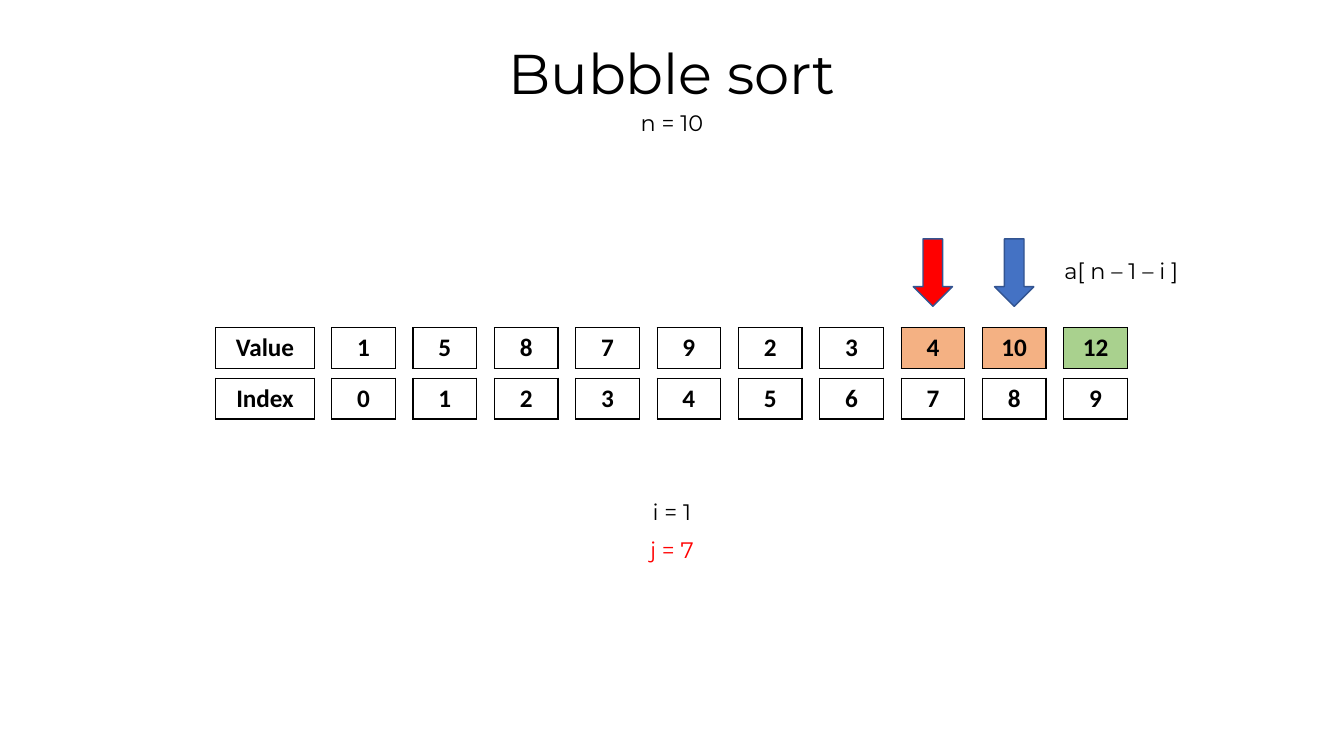
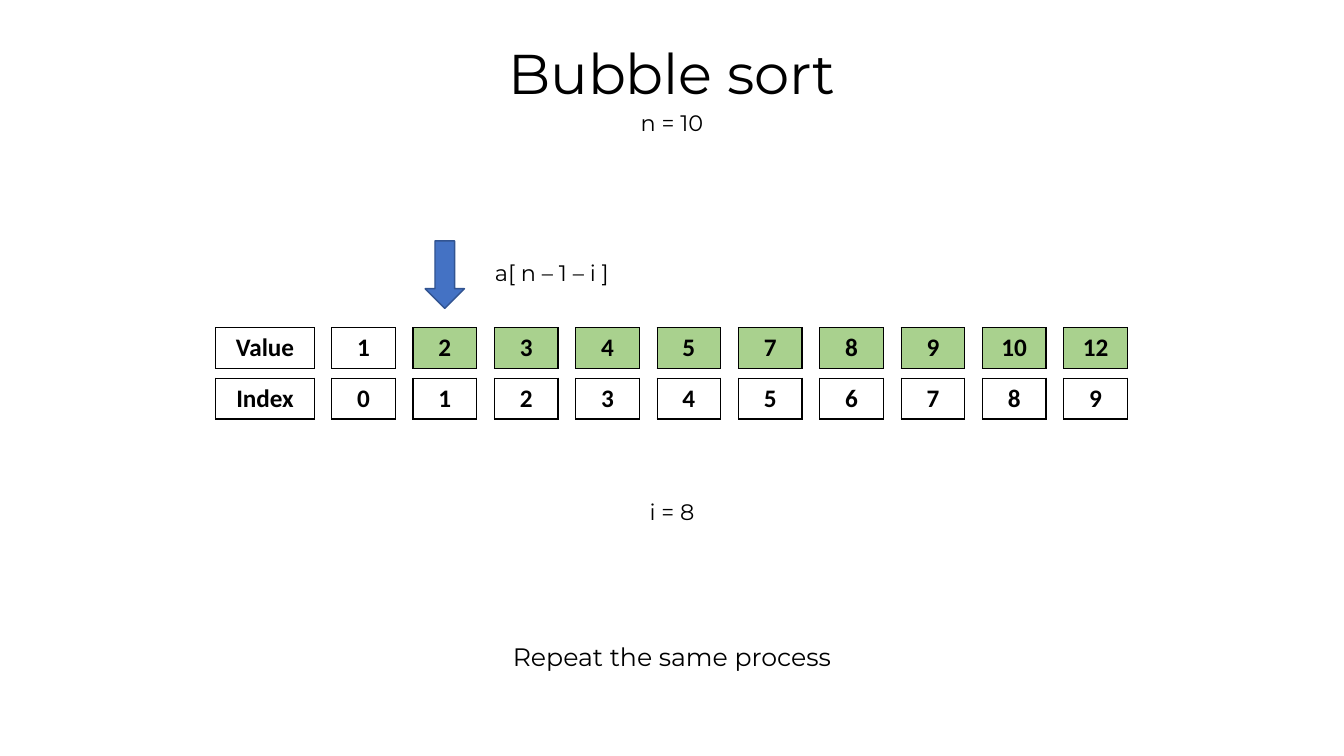
from lxml.etree import SubElement
from pptx import Presentation
from pptx.dml.color import RGBColor
from pptx.enum.shapes import MSO_SHAPE
from pptx.enum.text import MSO_ANCHOR, MSO_AUTO_SIZE, PP_ALIGN
from pptx.oxml.ns import qn
from pptx.util import Cm, Pt

# Colours and fonts
BLACK = RGBColor(0x00, 0x00, 0x00)
RED = RGBColor(0xFF, 0x00, 0x00)
BLUE = RGBColor(0x44, 0x72, 0xC4)
NAVY = RGBColor(0x32, 0x54, 0x91)
ORANGE = RGBColor(0xF4, 0xB1, 0x83)
GREEN = RGBColor(0xA9, 0xD1, 0x8E)
HEAD, BODY = "Montserrat", "Calibri"

# Layout in centimetres
WIDE, HIGH = 33.87, 19.05
MID = WIDE / 2
LEFT, STEP = 8.36, 2.05
CELL_W, CELL_H = 1.6, 1.03
HEAD_X, HEAD_W = 5.44, 2.48
VALUE_Y, INDEX_Y = 8.26, 9.53
ARROW_W, ARROW_H = 0.99, 1.7


def write(para, text, font, size, color=BLACK, bold=False):
    para.alignment = PP_ALIGN.CENTER
    run = para.add_run()
    run.text = text
    run.font.name = font
    run.font.size = Pt(size)
    run.font.bold = bold
    run.font.color.rgb = color


def label(slide, text, mid, top, width, height=0.94, size=16, color=BLACK):
    """Add one centred line of text around the given middle."""
    box = slide.shapes.add_textbox(Cm(mid - width / 2), Cm(top), Cm(width), Cm(height))
    frame = box.text_frame
    frame.word_wrap = False
    frame.auto_size = MSO_AUTO_SIZE.SHAPE_TO_FIT_TEXT
    write(frame.paragraphs[0], text, HEAD, size, color)


def border(cell):
    props = cell._tc.get_or_add_tcPr()
    for side in ("a:lnL", "a:lnR", "a:lnT", "a:lnB"):
        line = SubElement(props, qn(side), w=str(Pt(1)))
        fill = SubElement(line, qn("a:solidFill"))
        SubElement(fill, qn("a:srgbClr"), val=str(BLACK))


def box(slide, text, left, top, width, fill=None):
    """Add a table of a single cell."""
    frame = slide.shapes.add_table(1, 1, Cm(left), Cm(top), Cm(width), Cm(CELL_H))
    table = frame.table
    table.first_row = table.horz_banding = False
    cell = table.cell(0, 0)
    cell.vertical_anchor = MSO_ANCHOR.MIDDLE
    border(cell)
    if fill is None:
        cell.fill.background()
    else:
        cell.fill.solid()
        cell.fill.fore_color.rgb = fill
    write(cell.text_frame.paragraphs[0], text, BODY, 18, bold=True)


def row(slide, name, items, top, fills):
    """Add a heading cell and a row of cells; fills maps slot to colour."""
    box(slide, name, HEAD_X, top, HEAD_W)
    for slot, item in enumerate(items):
        box(slide, str(item), LEFT + slot * STEP, top, CELL_W, fills.get(slot))


def arrow(slide, slot, top, color):
    """Point down at a slot and return the middle of that slot."""
    mid = LEFT + slot * STEP + CELL_W / 2
    shape = slide.shapes.add_shape(
        MSO_SHAPE.DOWN_ARROW, Cm(mid - ARROW_W / 2), Cm(top), Cm(ARROW_W), Cm(ARROW_H))
    shape.shadow.inherit = False
    shape.fill.solid()
    shape.fill.fore_color.rgb = color
    shape.line.color.rgb = NAVY
    shape.line.width = Pt(1)
    return mid


def target(slide, slot, top):
    """Mark the last unsorted slot with an arrow and its formula."""
    mid = arrow(slide, slot, top, BLUE)
    label(slide, "a[ n – 1 – i ]", mid + 2.7, top + 0.33, 4.01)


def state(deck, values, i, fills, top):
    """Add a slide with the array as it stands in pass i."""
    slide = deck.slides.add_slide(deck.slide_layouts[6])
    count = len(values)
    label(slide, "Bubble sort", MID, 0.84, 9.53, 1.96, 40)
    label(slide, f"n = {count}", MID, 2.62, 2.41)
    label(slide, f"i = {i}", MID, 12.42, 1.85)
    target(slide, count - 1 - i, top)
    row(slide, "Value", values, VALUE_Y, fills)
    row(slide, "Index", range(count), INDEX_Y, {})
    return slide


def main():
    deck = Presentation()
    deck.slide_width, deck.slide_height = Cm(WIDE), Cm(HIGH)

    # Second pass, comparing slots 7 and 8
    j = 7
    fills = {j: ORANGE, j + 1: ORANGE, 9: GREEN}
    slide = state(deck, [1, 5, 8, 7, 9, 2, 3, 4, 10, 12], 1, fills, 6.02)
    arrow(slide, j, 6.02, RED)
    label(slide, f"j = {j}", MID, 13.39, 1.85, color=RED)

    # Last pass, all but the first slot sorted
    fills = dict.fromkeys(range(1, 10), GREEN)
    slide = state(deck, [1, 2, 3, 4, 5, 7, 8, 9, 10, 12], 8, fills, 6.07)
    label(slide, "Repeat the same process", MID, 16.03, 9.45, 1.02, 18)

    deck.save("out.pptx")


main()
